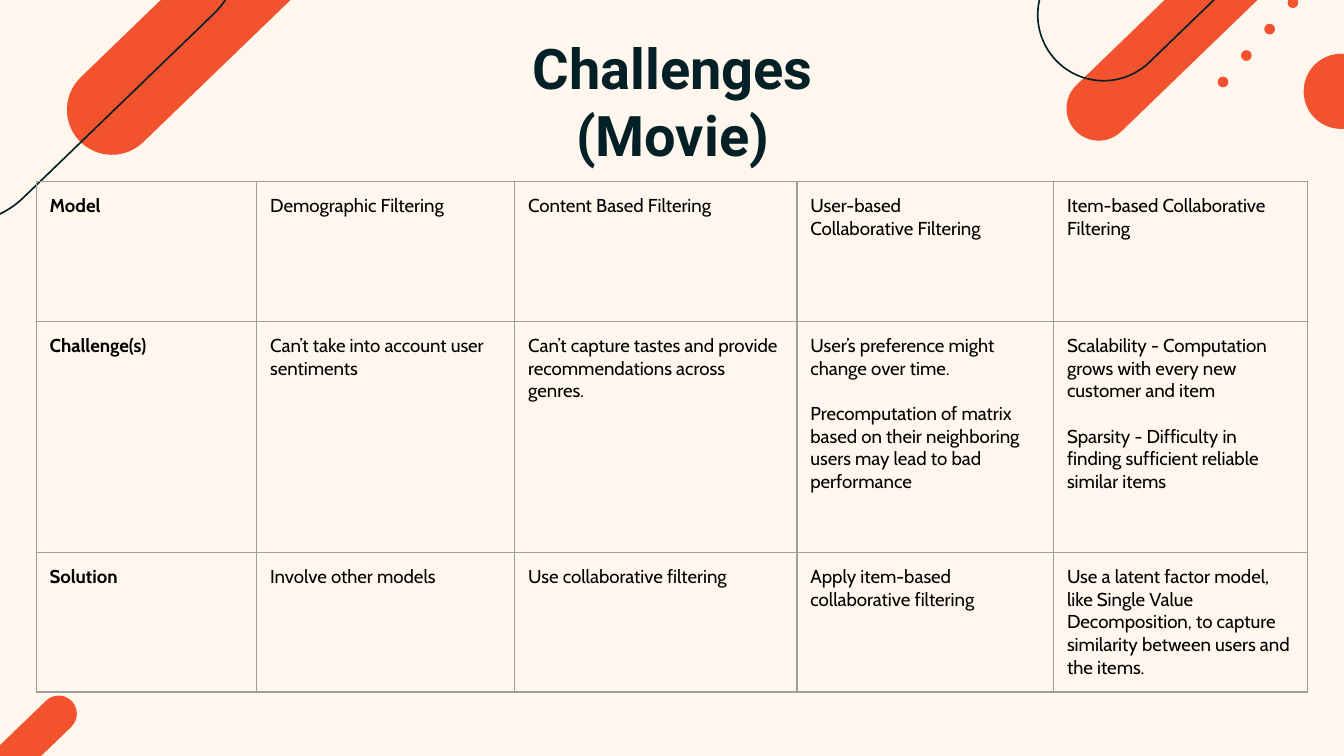
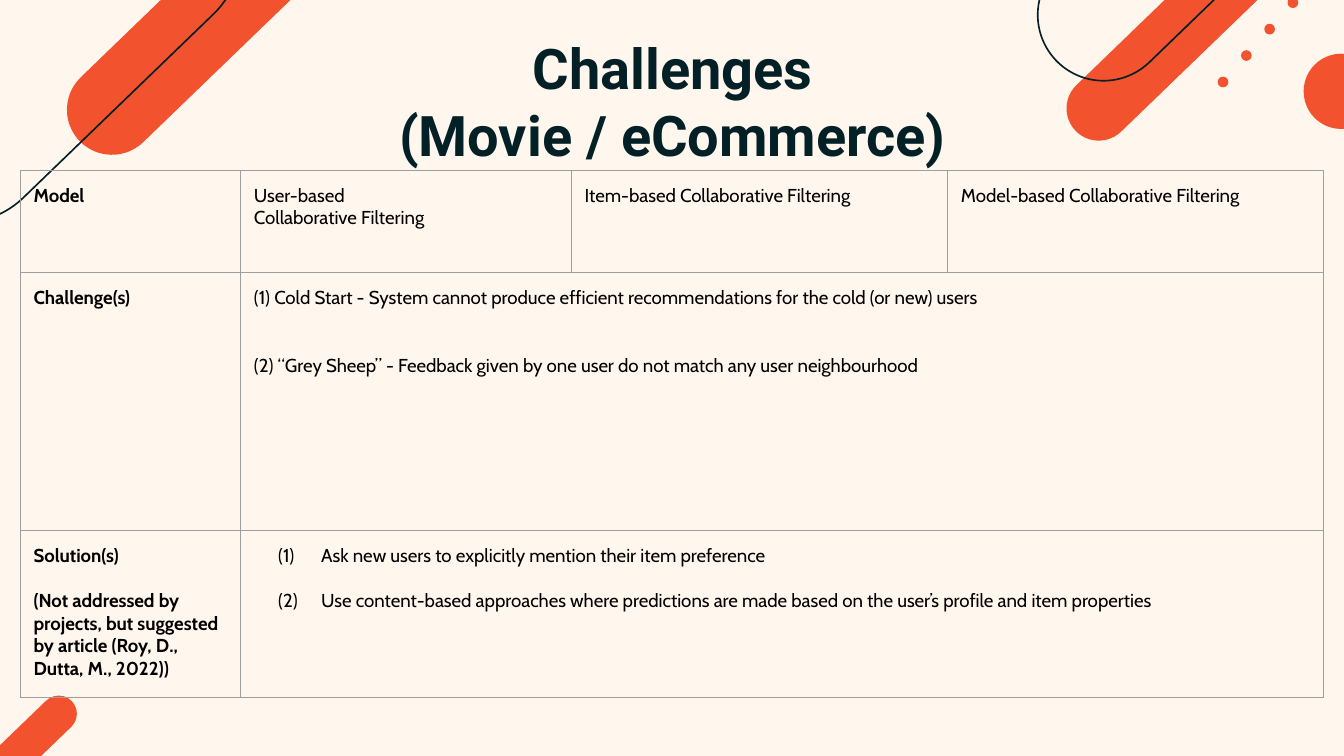
import pptx
import pptx.util
import pptx.dml.color
import pptx.enum.shapes
import pptx.enum.text
import pptx.oxml
import pptx.oxml.ns

Inches = pptx.util.Inches
Pt = pptx.util.Pt
RGBColor = pptx.dml.color.RGBColor
SHAPES = pptx.enum.shapes.MSO_SHAPE
ALIGN = pptx.enum.text.PP_ALIGN

CREAM = RGBColor(0xFF, 0xF6, 0xEE)
ORANGE = RGBColor(0xF2, 0x52, 0x2E)
NAVY = RGBColor(0x03, 0x20, 0x26)
BLACK = RGBColor(0x00, 0x00, 0x00)
GREY = RGBColor(0x9E, 0x9E, 0x9E)

SLIDE_WIDTH = Inches(10)
SLIDE_HEIGHT = SLIDE_WIDTH * 9 // 16
TITLE_FONT = {"name": "Roboto", "size": Pt(30), "bold": True}
LABEL_FONT = {"name": "Cabin", "size": Pt(10), "bold": True}
BODY_FONT = {"name": "Cabin", "size": Pt(10), "bold": False}
MARGINS = {f"margin_{side}": Inches(0.1) for side in ("left", "right", "top", "bottom")}
LINE_GAP = 12.15
PILL_ANGLE = -44

PILLS = [
    (8.69, 0.31, 1.91, 0.48, True),
    (8.74, -0.4, 2.45, 0.98, False),
    (1.43, 0.24, 2.33, 0.67, True),
    (0.43, 0.32, 3.27, 1.3, False),
    (0.2, 5.54, 0.93, 0.27, True),
]
DOTS = [(9.06 + 0.52 * step / 3, 0.57 - 0.59 * step / 3, 0.08) for step in range(4)]
CIRCLES = DOTS + [(9.7, 0.4, 0.56)]

PAGES = [
    {
        "title": "Challenges\n(Movie)",
        "corner": (0.27, 1.35),
        "columns": [1.64, 1.92, 2.1, 1.91, 1.89],
        "rows": [1.04, 1.72, 1.04],
        "cells": [
            ["Model", "Demographic Filtering", "Content Based Filtering",
             "User-based\nCollaborative Filtering", "Item-based Collaborative Filtering"],
            ["Challenge(s)", "Can’t take into account user sentiments",
             "Can’t capture tastes and provide recommendations across genres.",
             "User’s preference might change over time.\n\n"
             "Precomputation of matrix based on their neighboring users may lead to bad performance",
             "Scalability - Computation grows with every new customer and item\n\n"
             "Sparsity - Difficulty in finding sufficient reliable similar items"],
            ["Solution", "Involve other models", "Use collaborative filtering",
             "Apply item-based collaborative filtering",
             "Use a latent factor model, like Single Value Decomposition, "
             "to capture similarity between users and the items."],
        ],
    },
    {
        "title": "Challenges\n(Movie / eCommerce)",
        "corner": (0.15, 1.27),
        "columns": [1.64, 2.46, 2.8, 2.8],
        "rows": [0.76, 1.92, 1.24],
        "cells": [
            ["Model", "User-based\nCollaborative Filtering",
             "Item-based Collaborative Filtering", "Model-based Collaborative Filtering"],
            ["Challenge(s)",
             "(1) Cold Start - System cannot produce efficient recommendations "
             "for the cold (or new) users\n\n\n"
             "(2) “Grey Sheep” - Feedback given by one user do not match any user neighbourhood"],
            ["Solution(s)\n\n(Not addressed by projects, but suggested by article "
             "(Roy, D., Dutta, M., 2022))",
             "Ask new users to explicitly mention their item preference\n\n"
             "Use content-based approaches where predictions are made based on "
             "the user’s profile and item properties"],
        ],
        "numbered": (2, 1),
    },
]


def set_values(target, values):
    for name, value in values.items():
        setattr(target, name, value)


def write_lines(frame, text, font, color, align):
    para = None
    gap = 0
    for line in text.split("\n"):
        if not line:
            gap += LINE_GAP
            continue
        para = frame.add_paragraph() if para is not None else frame.paragraphs[0]
        set_values(para, {"alignment": align, "space_before": Pt(gap)})
        span = para.add_run()
        span.text = line
        set_values(span.font, font)
        span.font.color.rgb = color
        gap = 0


deck = pptx.Presentation()
set_values(deck, {"slide_width": SLIDE_WIDTH, "slide_height": SLIDE_HEIGHT})

for content in PAGES:
    page = deck.slides.add_slide(deck.slide_layouts[6])
    page.background.fill.solid()
    page.background.fill.fore_color.rgb = CREAM

    for center_x, center_y, length, thickness, filled in PILLS:
        pill = page.shapes.add_shape(
            SHAPES.ROUNDED_RECTANGLE, Inches(center_x - length / 2),
            Inches(center_y - thickness / 2), Inches(length), Inches(thickness))
        pill.adjustments[0] = 0.5
        pill.rotation = PILL_ANGLE
        pill.shadow.inherit = False
        if filled:
            pill.fill.solid()
            pill.fill.fore_color.rgb = ORANGE
            pill.line.fill.background()
        else:
            pill.fill.background()
            pill.line.color.rgb = NAVY
            pill.line.width = Pt(0.88)

    for left, top, diameter in CIRCLES:
        circle = page.shapes.add_shape(
            SHAPES.OVAL, Inches(left), Inches(top), Inches(diameter), Inches(diameter))
        circle.shadow.inherit = False
        circle.fill.solid()
        circle.fill.fore_color.rgb = ORANGE
        circle.line.fill.background()

    title = page.shapes.add_textbox(Inches(0.79), Inches(0.15), Inches(8.43), Inches(0.63))
    set_values(title.text_frame, {"word_wrap": True, **MARGINS})
    write_lines(title.text_frame, content["title"], TITLE_FONT, NAVY, ALIGN.CENTER)

    columns, rows = content["columns"], content["rows"]
    left, top = content["corner"]
    table = page.shapes.add_table(
        len(rows), len(columns), Inches(left), Inches(top),
        Inches(sum(columns)), Inches(sum(rows))).table
    set_values(table, {"first_row": False, "horz_banding": False})
    for column, width in zip(table.columns, columns):
        column.width = Inches(width)
    for row, height in zip(table.rows, rows):
        row.height = Inches(height)

    for cell in table.iter_cells():
        set_values(cell, MARGINS)
        cell.fill.background()
        for index, side in enumerate(("lnL", "lnR", "lnT", "lnB")):
            border = pptx.oxml.parse_xml(
                f'<a:{side} {pptx.oxml.ns.nsdecls("a")} w="{Pt(0.75)}">'
                f'<a:solidFill><a:srgbClr val="{GREY}"/></a:solidFill></a:{side}>')
            cell._tc.get_or_add_tcPr().insert(index, border)

    for row_index, texts in enumerate(content["cells"]):
        if len(texts) < len(columns):
            table.cell(row_index, 1).merge(table.cell(row_index, len(columns) - 1))
        for column_index, text in enumerate(texts):
            font = BODY_FONT if column_index else LABEL_FONT
            frame = table.cell(row_index, column_index).text_frame
            write_lines(frame, text, font, BLACK, ALIGN.LEFT)

    if "numbered" in content:
        for para in table.cell(*content["numbered"]).text_frame.paragraphs:
            properties = para._p.get_or_add_pPr()
            properties.set("marL", str(Inches(0.5)))
            properties.set("indent", str(Inches(-0.32)))
            properties.append(pptx.oxml.parse_xml(
                f'<a:buAutoNum {pptx.oxml.ns.nsdecls("a")} type="arabicParenBoth"/>'))

deck.save("out.pptx")
